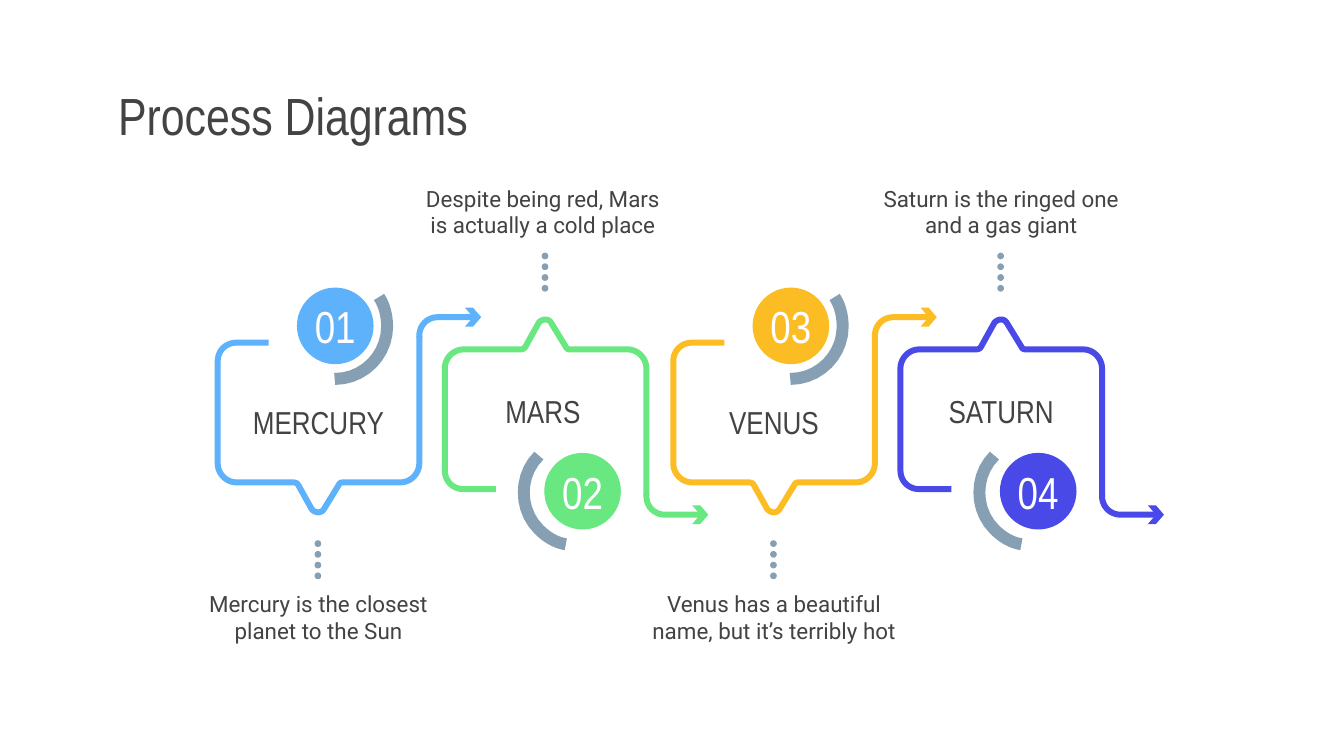
from collections import namedtuple

from pptx import Presentation
from pptx.dml.color import RGBColor
from pptx.enum.shapes import MSO_SHAPE as Shape
from pptx.enum.text import MSO_ANCHOR as Anchor, PP_ALIGN as Align
from pptx.util import Pt

EMU_PER_PX = 9144
SLIDE_WIDTH = 1000
SLIDE_HEIGHT = SLIDE_WIDTH * 9 / 16
MIRROR_SUM = 619
CURVE_STEPS = 10

INK = RGBColor(0x43, 0x43, 0x43)
WHITE = RGBColor(0xFF, 0xFF, 0xFF)
SLATE = RGBColor(0x86, 0x9F, 0xB2)
BLUE = RGBColor(0x5E, 0xB2, 0xFC)
GREEN = RGBColor(0x69, 0xE7, 0x81)
AMBER = RGBColor(0xFC, 0xBD, 0x24)
INDIGO = RGBColor(0x49, 0x49, 0xE7)

HEADING = {"name": "Arial Narrow", "size": Pt(28)}
NUMBER = {"name": "Arial Narrow", "size": Pt(24)}
LABEL = {"name": "Arial Narrow", "size": Pt(17)}
BODY = {"name": "Roboto", "size": Pt(12)}

FRAME = [
    (38, 255), (14, 255), (6, 255, 0, 261, 0, 269),
    (0, 345), (0, 352, 6, 359, 14, 359),
    (56, 359), (57, 359, 59, 359, 60, 361),
    (70, 379), (73, 382, 77, 382, 79, 379),
    (90, 361), (91, 359, 92, 359, 94, 359),
    (136, 359), (144, 359, 150, 352, 150, 345),
    (150, 250),
]
EXIT_BEND = [(190, 236), (164, 236), (156, 236, 150, 242, 150, 250), (150, 251)]
ARROWHEAD = [(184, 229), (190, 236), (184, 243), (190, 243), (196, 236), (190, 229)]
RING_RIGHT = [(120, 221), (124, 227, 126, 235, 126, 243), (126, 264, 109, 282, 87, 282)]
RING_LEFT = [(90, 405), (83, 404, 76, 400, 70, 394), (55, 379, 55, 354, 70, 339)]

Layout = namedtuple("Layout", "mirrored badge_x badge_y ring label_y dots_y body_y")
DOWN = Layout(False, 59, 214, RING_RIGHT, 292, 402, 428)
UP = Layout(True, 74, 337, RING_LEFT, 284, 188, 126)

Step = namedtuple("Step", "left text_shift layout color number planet fact")
STEPS = [
    Step(162, 0, DOWN, BLUE, "01", "MERCURY", "Mercury is the closest planet to the Sun"),
    Step(331, -2, UP, GREEN, "02", "MARS", "Despite being red, Mars is actually a cold place"),
    Step(501, 0, DOWN, AMBER, "03", "VENUS", "Venus has a beautiful name, but it’s terribly hot"),
    Step(670, 0, UP, INDIGO, "04", "SATURN", "Saturn is the ringed one and a gas giant"),
]


def px(value):
    return round(value * EMU_PER_PX)


def apply(target, values):
    for name, value in values.items():
        setattr(target, name, value)


def write(shape, text, font, color, align=Align.CENTER, wrap=True):
    frame = shape.text_frame
    apply(frame, {
        "word_wrap": wrap, "vertical_anchor": Anchor.MIDDLE,
        "margin_left": px(10), "margin_right": px(10),
        "margin_top": px(10), "margin_bottom": px(10),
    })
    paragraph = frame.paragraphs[0]
    paragraph.alignment = align
    run = paragraph.add_run()
    run.text = text
    apply(run.font, font)
    run.font.color.rgb = color


def add_text(slide, box, text, font, align=Align.CENTER):
    write(slide.shapes.add_textbox(*map(px, box)), text, font, INK, align)


def paint(shape, color):
    shape.shadow.inherit = False
    shape.fill.solid()
    shape.fill.fore_color.rgb = color
    shape.line.fill.background()


def add_disc(slide, left, top, diameter, color):
    disc = slide.shapes.add_shape(Shape.OVAL, *map(px, (left, top, diameter, diameter)))
    paint(disc, color)
    return disc


def flatten(outline):
    points = [outline[0]]
    for segment in outline[1:]:
        if len(segment) == 2:
            points.append(segment)
            continue
        controls = [points[-1], segment[:2], segment[2:4], segment[4:]]
        for step in range(1, CURVE_STEPS + 1):
            t = step / CURVE_STEPS
            weights = ((1 - t) ** 3, 3 * t * (1 - t) ** 2, 3 * t * t * (1 - t), t ** 3)
            points.append(tuple(
                sum(w * c[axis] for w, c in zip(weights, controls)) for axis in (0, 1)
            ))
    return points


def add_outline(slide, outline, left, mirrored, close=False):
    points = [
        (px(left + x), px(MIRROR_SUM - y if mirrored else y)) for x, y in flatten(outline)
    ]
    builder = slide.shapes.build_freeform(*points[0], scale=1.0)
    builder.add_line_segments(points[1:], close=close)
    return builder.convert_to_shape()


def add_stroke(slide, outline, left, color, width, mirrored=False):
    stroke = add_outline(slide, outline, left, mirrored)
    stroke.shadow.inherit = False
    stroke.fill.background()
    stroke.line.color.rgb = color
    stroke.line.width = Pt(width)


def add_step(slide, step):
    layout = step.layout
    text_left = step.left + step.text_shift
    badge = add_disc(slide, step.left + layout.badge_x, layout.badge_y, 57, step.color)
    write(badge, step.number, NUMBER, WHITE, wrap=False)
    add_stroke(slide, layout.ring, step.left, SLATE, 6.42)
    for outline in (EXIT_BEND, FRAME):
        add_stroke(slide, outline, step.left, step.color, 3.21, layout.mirrored)
    paint(add_outline(slide, ARROWHEAD, step.left, layout.mirrored, close=True), step.color)
    for index in range(4):
        add_disc(slide, step.left + 72, layout.dots_y + 8 * index, 5, SLATE)
    add_text(slide, (text_left, layout.label_y, 150, 44), step.planet, LABEL)
    add_text(slide, (text_left - 27, layout.body_y, 204, 63), step.fact, BODY)


def main():
    deck = Presentation()
    apply(deck, {"slide_width": px(SLIDE_WIDTH), "slide_height": px(SLIDE_HEIGHT)})
    slide = deck.slides.add_slide(deck.slide_layouts[6])
    add_text(slide, (78, 59, 845, 53), "Process Diagrams", HEADING, Align.LEFT)
    for step in STEPS:
        add_step(slide, step)
    deck.save("out.pptx")


if __name__ == "__main__":
    main()
